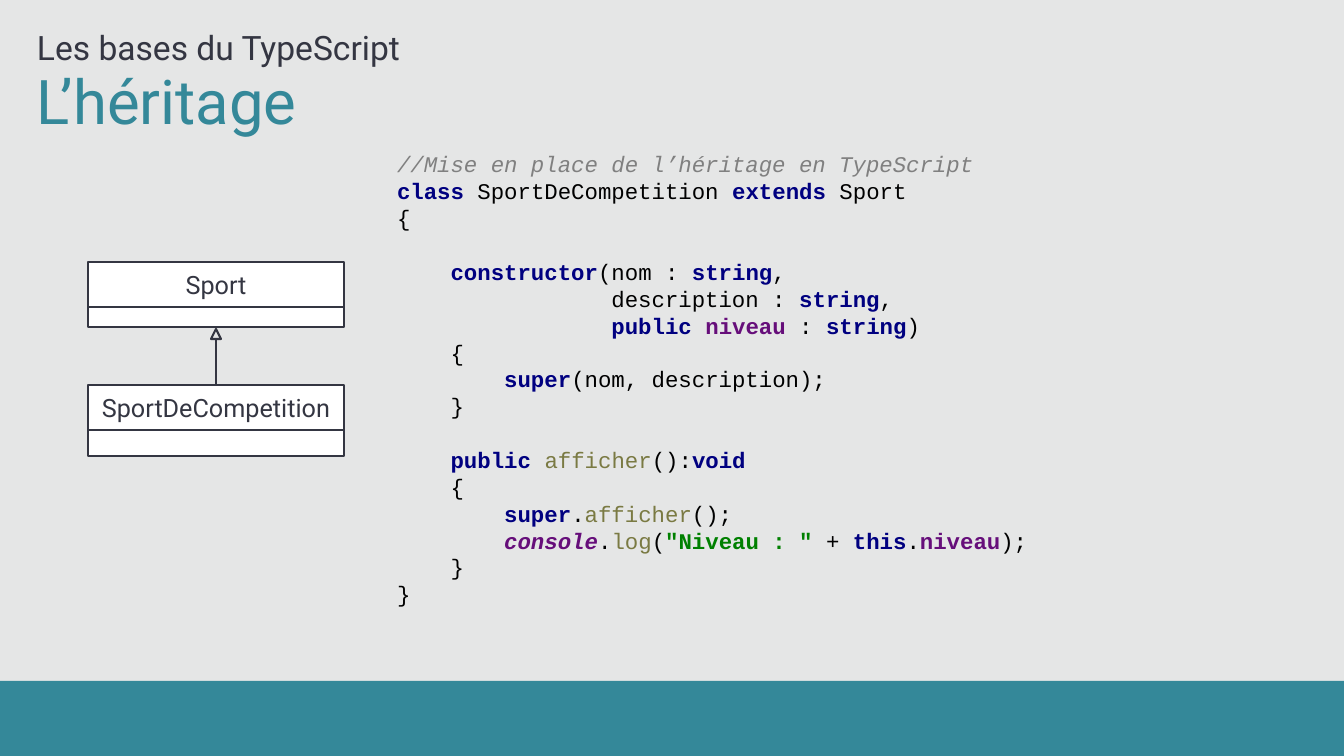
from dataclasses import dataclass
from typing import NamedTuple

from lxml.etree import SubElement
from pptx import Presentation
from pptx.dml.color import RGBColor
from pptx.enum.shapes import MSO_CONNECTOR as Link, MSO_SHAPE as Kind
from pptx.enum.text import MSO_ANCHOR as Anchor, PP_ALIGN as Align
from pptx.oxml.ns import qn
from pptx.util import Emu, Pt

EMU_PER_PX = 914400 / 100.8
COLORS = {
    "background": "E5E6E6", "teal": "348899", "ink": "343642", "white": "FFFFFF",
    "gray": "808080", "navy": "000080", "black": "000000",
    "purple": "660E7A", "olive": "7A7A43", "green": "008000",
}
CODE_PITCH = 19.2


class Style(NamedTuple):
    color: str
    bold: bool = False
    italic: bool = False


@dataclass
class CodeLine:
    tokens: list[tuple[str, Style]]
    gap: float = 0


@dataclass
class ClassBox:
    name: str
    top: int
    body_height: int


COMMENT = Style("gray", italic=True)
KEYWORD = Style("navy", bold=True)
PLAIN = Style("black")
FIELD = Style("purple", bold=True)
OBJECT = Style("purple", bold=True, italic=True)
METHOD = Style("olive")
STRING = Style("green", bold=True)

CODE = [
    CodeLine([("//Mise en place de l’héritage en TypeScript", COMMENT)]),
    CodeLine([("class ", KEYWORD), ("SportDeCompetition ", PLAIN),
              ("extends ", KEYWORD), ("Sport", PLAIN)]),
    CodeLine([("{", PLAIN)]),
    CodeLine([("    constructor", KEYWORD), ("(nom : ", PLAIN),
              ("string", KEYWORD), (",", PLAIN)], gap=CODE_PITCH),
    CodeLine([("                description : ", PLAIN), ("string", KEYWORD), (",", PLAIN)]),
    CodeLine([("                public ", KEYWORD), ("niveau ", FIELD), (": ", PLAIN),
              ("string", KEYWORD), (")", PLAIN)]),
    CodeLine([("    {", PLAIN)]),
    CodeLine([("        super", KEYWORD), ("(nom, description);", PLAIN)]),
    CodeLine([("    }", PLAIN)]),
    CodeLine([("    public ", KEYWORD), ("afficher", METHOD), ("():", PLAIN),
              ("void", KEYWORD)], gap=CODE_PITCH),
    CodeLine([("    {", PLAIN)]),
    CodeLine([("        super", KEYWORD), (".", PLAIN), ("afficher", METHOD), ("();", PLAIN)]),
    CodeLine([("        console", OBJECT), (".", PLAIN), ("log", METHOD), ("(", PLAIN),
              ('"Niveau : " ', STRING), ("+ ", PLAIN), ("this", KEYWORD), (".", PLAIN),
              ("niveau", FIELD), (");", PLAIN)]),
    CodeLine([("    }", PLAIN)]),
    CodeLine([("}", PLAIN)]),
]
PARENT = ClassBox("Sport", 262, 20)
CHILD = ClassBox("SportDeCompetition", 385, 26)
BOX_LEFT, BOX_WIDTH, NAME_HEIGHT = 88, 256, 45


def px(value: int) -> Emu:
    return Emu(round(value * EMU_PER_PX))


def rgb(name: str) -> RGBColor:
    return RGBColor.from_string(COLORS[name])


def add_run(p, text: str, *, size: float, color: str, font: str = "Roboto",
            bold: bool = False, italic: bool = False) -> None:
    r = p.add_run()
    r.text = text
    r.font.size, r.font.name = Pt(size), font
    r.font.bold, r.font.italic = bold, italic
    r.font.color.rgb = rgb(color)


def add_box(s, left: int, top: int, width: int, height: int, *, kind=Kind.RECTANGLE,
            fill: str | None = None, line: str | None = None):
    sp = s.shapes.add_shape(kind, px(left), px(top), px(width), px(height))
    sp.shadow.inherit = False
    if fill:
        sp.fill.solid()
        sp.fill.fore_color.rgb = rgb(fill)
    else:
        sp.fill.background()
    if line:
        sp.line.color.rgb = rgb(line)
        sp.line.width = Pt(1.5)
    else:
        sp.line.fill.background()
    return sp


def add_text_frame(s, left: int, top: int, width: int, height: int, *,
                   anchor: Anchor, margin: int = 0):
    tf = s.shapes.add_textbox(px(left), px(top), px(width), px(height)).text_frame
    tf.word_wrap = True
    tf.vertical_anchor = anchor
    tf.margin_left = tf.margin_right = px(margin)
    tf.margin_top = tf.margin_bottom = px(margin // 2)
    return tf


def add_heading(s, text: str, top: int, height: int, *, size: float, color: str,
                anchor: Anchor) -> None:
    p = add_text_frame(s, 37, top, 1274, height, anchor=anchor).paragraphs[0]
    p.line_spacing = 0.9
    add_run(p, text, size=size, color=color)


def add_class(s, box: ClassBox):
    head = add_box(s, BOX_LEFT, box.top, BOX_WIDTH, NAME_HEIGHT, fill="white", line="ink")
    tf = head.text_frame
    tf.vertical_anchor = Anchor.MIDDLE
    p = tf.paragraphs[0]
    p.alignment = Align.CENTER
    add_run(p, box.name, size=18, color="ink")
    add_box(s, BOX_LEFT, box.top + NAME_HEIGHT, BOX_WIDTH, box.body_height,
            fill="white", line="ink")
    return head


def add_inheritance(s, child_head) -> None:
    middle = BOX_LEFT + BOX_WIDTH // 2
    tip = PARENT.top + NAME_HEIGHT + PARENT.body_height + 2
    base = tip + 10
    cx = s.shapes.add_connector(Link.STRAIGHT, px(middle), px(CHILD.top), px(middle), px(base))
    cx.begin_connect(child_head, 0)
    cx.line.color.rgb = rgb("ink")
    cx.line.width = Pt(2)
    SubElement(cx._element.spPr, qn("a:effectLst"))
    add_box(s, middle - 5, tip, 10, base - tip, kind=Kind.ISOSCELES_TRIANGLE, line="ink")


def add_code(s) -> None:
    tf = add_text_frame(s, 387, 143, 660, 472, anchor=Anchor.MIDDLE, margin=10)
    for i, line in enumerate(CODE):
        p = tf.add_paragraph() if i else tf.paragraphs[0]
        p.line_spacing = Pt(CODE_PITCH)
        p.space_before = Pt(line.gap)
        for text, style in line.tokens:
            add_run(p, text, size=16, font="Courier New", **style._asdict())


def main() -> None:
    prs = Presentation()
    prs.slide_width, prs.slide_height = px(1344), px(756)
    s = prs.slides.add_slide(prs.slide_layouts[6])
    s.background.fill.solid()
    s.background.fill.fore_color.rgb = rgb("background")
    add_box(s, 0, 681, 1344, 75, fill="teal")
    add_heading(s, "L’héritage", 71, 133, size=44, color="teal", anchor=Anchor.TOP)
    add_heading(s, "Les bases du TypeScript", 21, 47, size=24, color="ink",
                anchor=Anchor.BOTTOM)
    add_class(s, PARENT)
    add_inheritance(s, add_class(s, CHILD))
    add_code(s)
    prs.save("out.pptx")


if __name__ == "__main__":
    main()
